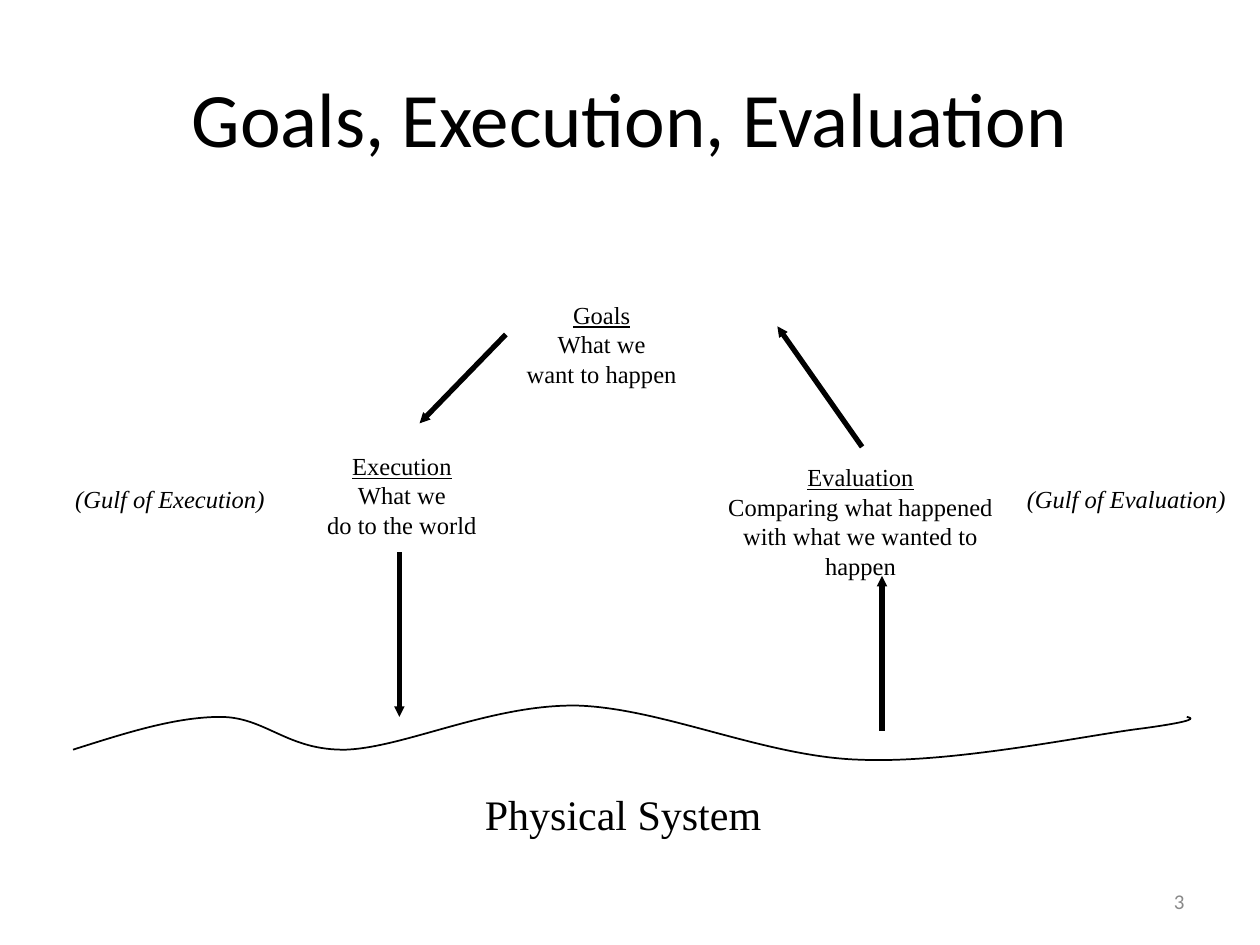
from dataclasses import dataclass

from lxml import etree
from pptx import Presentation
from pptx.dml.color import RGBColor
from pptx.enum.shapes import MSO_CONNECTOR as Connector
from pptx.enum.text import MSO_ANCHOR as Anchor, MSO_AUTO_SIZE as AutoSize, PP_ALIGN as Align
from pptx.oxml.ns import qn
from pptx.util import Inches, Pt


@dataclass(frozen=True)
class Theme:
    ink: RGBColor = RGBColor(0, 0, 0)
    muted: RGBColor = RGBColor(0x89, 0x89, 0x89)
    heading_font: str = "Calibri"
    body_font: str = "Times New Roman"
    title_size: int = 44
    system_size: int = 24
    label_size: int = 14
    number_size: int = 12
    arrow_width: int = 3
    wave_width: int = 1


def write_text(paragraph, text, *, font, size, color, align=Align.CENTER,
               underline=False, italic=False):
    paragraph.alignment = align
    run = paragraph.add_run()
    run.text = text
    run.font.name = font
    run.font.size = Pt(size)
    run.font.color.rgb = color
    run.font.underline = underline
    run.font.italic = italic


class SlideBuilder:
    def __init__(self, slide, theme):
        self.slide = slide
        self.theme = theme

    def title(self, text, left, top, width, height):
        shape = self.slide.shapes.title
        shape.left, shape.top = Inches(left), Inches(top)
        shape.width, shape.height = Inches(width), Inches(height)
        shape.text_frame.vertical_anchor = Anchor.MIDDLE
        write_text(shape.text_frame.paragraphs[0], text, font=self.theme.heading_font,
                   size=self.theme.title_size, color=self.theme.ink)

    def text(self, lines, left, top, width, height, *, wrap=False, anchor=Anchor.TOP,
             underline_first=False, **changes):
        style = {"font": self.theme.body_font, "size": self.theme.label_size,
                 "color": self.theme.ink, **changes}
        shape = self.slide.shapes.add_textbox(
            Inches(left), Inches(top), Inches(width), Inches(height))
        frame = shape.text_frame
        frame.word_wrap = wrap
        frame.auto_size = AutoSize.NONE if wrap else AutoSize.SHAPE_TO_FIT_TEXT
        frame.vertical_anchor = anchor
        for index, line in enumerate(lines):
            paragraph = frame.add_paragraph() if index else frame.paragraphs[0]
            write_text(paragraph, line, underline=underline_first and index == 0, **style)

    def arrow(self, start, end):
        connector = self.slide.shapes.add_connector(
            Connector.STRAIGHT, *(Inches(value) for value in (*start, *end)))
        connector.line.color.rgb = self.theme.ink
        connector.line.width = Pt(self.theme.arrow_width)
        line = connector.line._get_or_add_ln()
        line.set("cap", "sq")
        etree.SubElement(line, qn("a:tailEnd"), type="triangle", w="sm", len="sm")
        etree.SubElement(connector._element.spPr, qn("a:effectLst"))

    def curve(self, start, points):
        builder = self.slide.shapes.build_freeform(
            Inches(start[0]), Inches(start[1]), scale=1.0)
        builder.add_line_segments(
            [(Inches(x), Inches(y)) for x, y in points], close=False)
        shape = builder.convert_to_shape()
        segments = list(shape._element.iter(qn("a:lnTo")))
        outline = segments[0].getparent()
        for first in range(0, len(segments), 3):
            bezier = etree.SubElement(outline, qn("a:cubicBezTo"))
            for segment in segments[first:first + 3]:
                bezier.append(segment[0])
                outline.remove(segment)
        shape.shadow.inherit = False
        shape.fill.background()
        shape.line.color.rgb = self.theme.ink
        shape.line.width = Pt(self.theme.wave_width)


def main():
    presentation = Presentation()
    presentation.slide_width, presentation.slide_height = Inches(10), Inches(7.5)
    theme = Theme()
    title_only = presentation.slide_layouts[5]
    builder = SlideBuilder(presentation.slides.add_slide(title_only), theme)

    builder.title("Goals, Execution, Evaluation", 0.5, 0.3, 9, 1.25)
    builder.text(["3"], 7.17, 6.95, 2.33, 0.4, wrap=True, anchor=Anchor.MIDDLE,
                 font=theme.heading_font, size=theme.number_size,
                 color=theme.muted, align=Align.RIGHT)

    builder.curve((0.58, 5.95), [
        (0.99, 5.82), (1.39, 5.69), (1.75, 5.69),
        (2.11, 5.69), (2.28, 5.96), (2.75, 5.95),
        (3.22, 5.93), (3.9, 5.59), (4.58, 5.6),
        (5.26, 5.62), (6.08, 6.01), (6.83, 6.03),
        (7.58, 6.06), (8.65, 5.83), (9.08, 5.78),
        (9.51, 5.72), (9.47, 5.7), (9.42, 5.69),
    ])
    builder.text(["Physical System"], 3.75, 6.21, 2.4, 0.5,
                 size=theme.system_size, align=Align.LEFT)

    stages = [
        (["Goals", "What we", "want to happen"], 4.03, 2.33, 1.49, False),
        (["Execution", "What we", "do to the world"], 2.45, 3.53, 1.48, False),
        (["Evaluation", "Comparing what happened", "with what we wanted to happen"],
         5.53, 3.62, 2.6, True),
    ]
    for lines, left, top, width, wrap in stages:
        builder.text(lines, left, top, width, 0.8, wrap=wrap, underline_first=True)

    for start, end in [
        ((7, 5.78), (7, 4.57)),
        ((6.83, 3.53), (6.17, 2.59)),
        ((4, 2.67), (3.33, 3.36)),
        ((3.17, 4.4), (3.17, 5.69)),
    ]:
        builder.arrow(start, end)

    for label, left, width in [
        ("(Gulf of Execution)", 0.45, 1.8),
        ("(Gulf of Evaluation)", 8, 1.88),
    ]:
        builder.text([label], left, 3.79, width, 0.33, italic=True)

    presentation.save("out.pptx")


if __name__ == "__main__":
    main()
